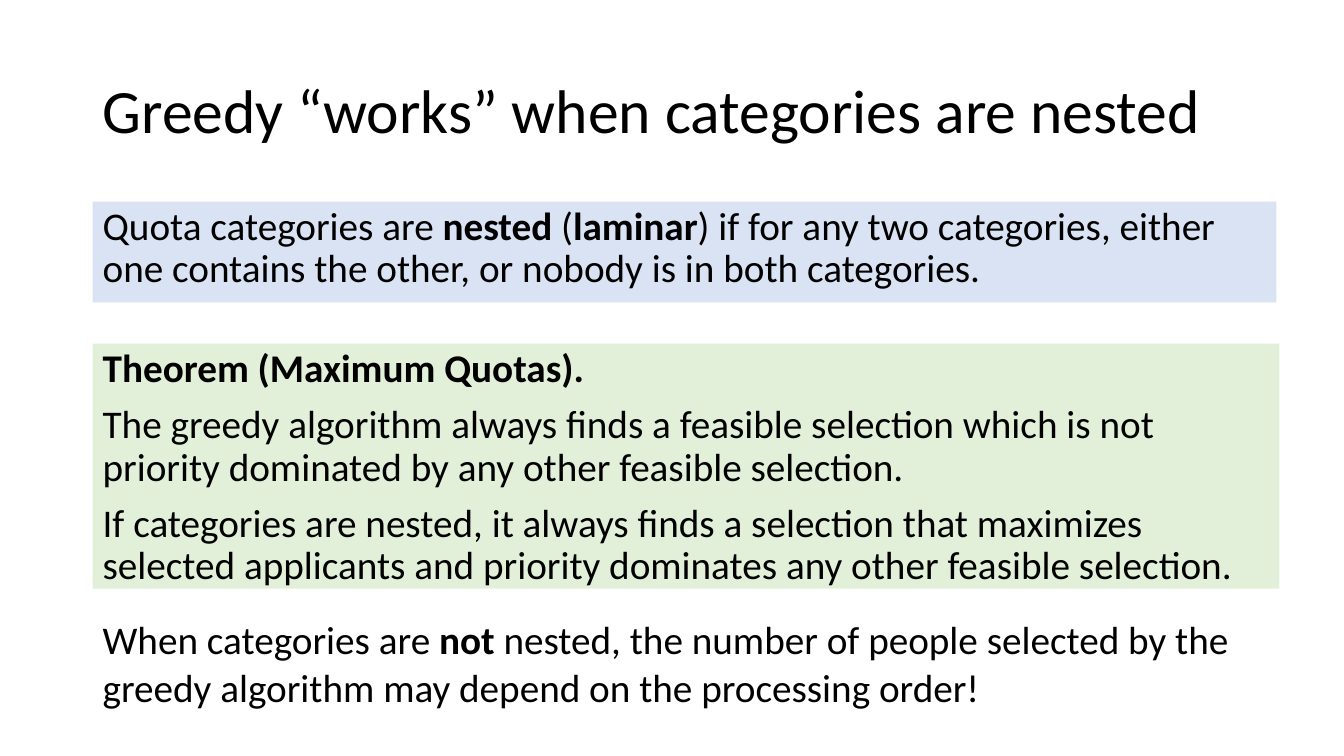
from dataclasses import dataclass

from pptx import Presentation
from pptx.dml.color import RGBColor
from pptx.enum.shapes import MSO_SHAPE
from pptx.enum.text import MSO_ANCHOR, PP_ALIGN
from pptx.util import Inches, Pt


@dataclass(frozen=True)
class Theme:
    """Colours, font and type sizes of the slide."""
    font: str = "Calibri"
    ink: str = "000000"
    blue: str = "DAE3F3"
    green: str = "E2F0D9"
    title: int = 44
    body: int = 28
    gap: int = 10


class Deck:
    """Draws text and panels on the current slide in one style."""

    def __init__(self, show, theme):
        self.theme = theme
        self.slide = show.slides.add_slide(show.slide_layouts[6])

    def label(self, shape, paras, size, lead, anchor=MSO_ANCHOR.TOP):
        """Fill a shape with paragraphs of (text, bold) runs."""
        frame = shape.text_frame
        frame.word_wrap = True
        frame.vertical_anchor = anchor
        for i, runs in enumerate(paras):
            para = frame.add_paragraph() if i else frame.paragraphs[0]
            para.alignment = PP_ALIGN.LEFT
            para.line_spacing = lead
            para.space_before = Pt(self.theme.gap if i else 0)
            for text, bold in runs:
                run = para.add_run()
                run.text = text
                font = run.font
                font.name = self.theme.font
                font.size = Pt(size)
                font.bold = bold
                font.color.rgb = RGBColor.from_string(self.theme.ink)

    def text(self, box, paras, size, lead=1.0, anchor=MSO_ANCHOR.TOP):
        """Add a plain text box."""
        shape = self.slide.shapes.add_textbox(*map(Inches, box))
        self.label(shape, paras, size, lead, anchor)

    def panel(self, box, fill, paras):
        """Add a filled panel with body text."""
        shape = self.slide.shapes.add_shape(MSO_SHAPE.RECTANGLE, *map(Inches, box))
        shape.shadow.inherit = False
        shape.fill.solid()
        shape.fill.fore_color.rgb = RGBColor.from_string(fill)
        shape.line.fill.background()
        self.label(shape, paras, self.theme.body, 0.9)


def main():
    """Build and save the slide."""
    show = Presentation()
    show.slide_width, show.slide_height = Inches(13.33), Inches(7.5)
    theme = Theme()
    deck = Deck(show, theme)
    left = 0.92

    deck.text((left, 0.4, 12.41, 1.45),
              [[("Greedy “works” when categories are nested", False)]],
              theme.title, 0.9, MSO_ANCHOR.MIDDLE)
    deck.panel((left, 3.41, 11.77, 2.43), theme.green, [
        [("Theorem (Maximum Quotas).", True)],
        [("The greedy algorithm always finds a feasible selection which is not "
          "priority dominated by any other feasible selection.", False)],
        [("If categories are nested, it always finds a selection that maximizes "
          "selected applicants and priority dominates any other feasible "
          "selection.", False)],
    ])
    deck.text((left, 6.06, 11.5, 1.04), [[
        ("When categories are ", False),
        ("not ", True),
        ("nested, the number of people selected by the greedy algorithm may "
         "depend on the processing order!", False),
    ]], theme.body)
    deck.panel((left, 2, 11.74, 1), theme.blue, [[
        ("Quota categories are ", False),
        ("nested", True),
        (" (", False),
        ("laminar", True),
        (") if for any two categories, either one contains the other, or "
         "nobody is in both categories.", False),
    ]])
    show.save("out.pptx")


if __name__ == "__main__":
    main()
